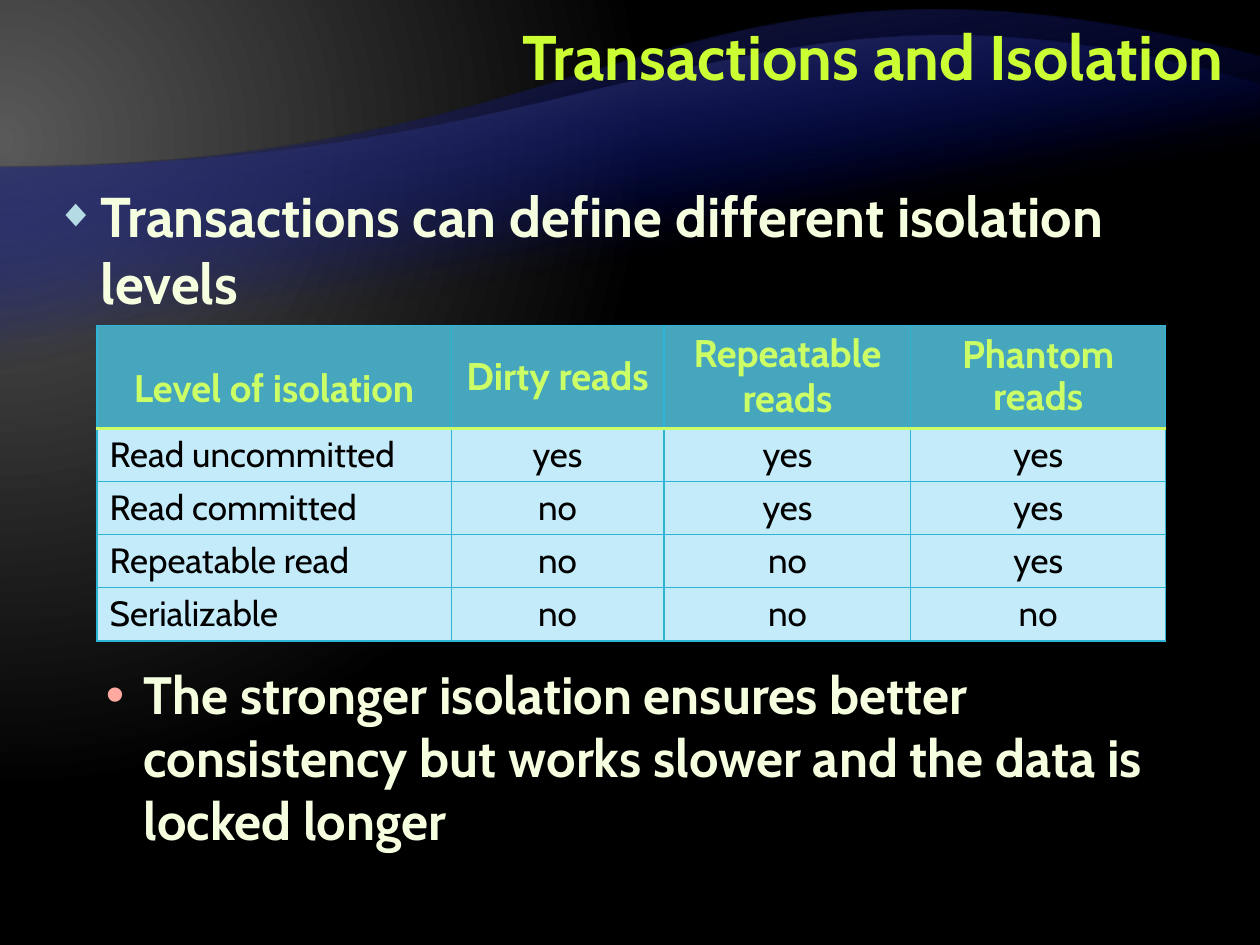
"""Build the slide on transactions and isolation levels."""
from pptx import Presentation
from pptx import util as u
from pptx.dml.color import RGBColor
from pptx.enum import text
from pptx.oxml import parse_xml
from pptx.oxml.ns import nsdecls, qn

TITLE = "Transactions and Isolation"
POINT = "Transactions can define different isolation levels"
SUBPOINT = ("The stronger isolation ensures better consistency but works slower "
            "and the data is locked longer")
HEADERS = [("Level of isolation", 1.5), ("Dirty reads", 0.95),
           ("Repeatable reads", 0.95), ("Phantom reads", 0.9)]
ROWS = [
    ("Read uncommitted", "yes", "yes", "yes"),
    ("Read committed", "no", "yes", "yes"),
    ("Repeatable read", "no", "no", "yes"),
    ("Serializable", "no", "no", "no"),
]
COLUMN_WIDTHS = [2.81, 1.69, 1.96, 2.02]
HEADER_HEIGHT, ROW_HEIGHT = 0.82, 0.42
WAVES = [
    {"curve": [(0, 1.33), (5, 1.33), (5.34, -0.75), (10, 0.45)], "bottom": 6.53,
     "stops": [(65, "000D9E", 0), (100, "262626", 100)]},
    {"curve": [(0, 1.33), (5, 1.33), (5.98, -0.49), (10, 0.67)], "bottom": 5.57,
     "stops": [(65, "000D9E", 0), (100, "595959", 100)]},
]
BACKDROP_STOPS = [(0, "595959", 100), (83, "000000", 100)]
BACKDROP_DIRECTION = ('<a:path path="circle"><a:fillToRect l="20000" t="30000" '
                      'r="135000" b="100000"/></a:path>')
WAVE_DIRECTION = '<a:lin ang="15600000" scaled="0"/>'
THEME = {
    "font": "Cabin",
    "title": "CCFF33", "body": "F5FFE0", "header": "CCFF66", "cell": "000000",
    "header_fill": "46A6BD", "cell_fill": "C4EBFA", "grid": "2EB5D5",
    "diamond": "B5DBE5", "dot": "FFA9A0",
    "title_size": 36, "point_size": 32, "subpoint_size": 30,
    "header_size": 22, "cell_size": 20,
}
CENTER = text.PP_ALIGN.CENTER


def set_gradient(owner, fill, stops, direction):
    fill.gradient()
    old = next(owner.iter(qn("a:gradFill")))
    marks = "".join(
        f'<a:gs pos="{position * 1000}"><a:srgbClr val="{color}">'
        f'<a:alpha val="{alpha * 1000}"/></a:srgbClr></a:gs>'
        for position, color, alpha in stops)
    new = parse_xml(f'<a:gradFill {nsdecls("a")} rotWithShape="1">'
                    f'<a:gsLst>{marks}</a:gsLst>{direction}</a:gradFill>')
    old.getparent().replace(old, new)


def curve_points(curve, steps=60):
    for step in range(steps + 1):
        t = step / steps
        weights = ((1 - t) ** 3, 3 * t * (1 - t) ** 2, 3 * t * t * (1 - t), t ** 3)
        yield tuple(u.Inches(sum(w * point[axis] for w, point in zip(weights, curve)))
                    for axis in (0, 1))


def add_wave(slide, wave, position):
    bottom = u.Inches(wave["bottom"])
    builder = slide.shapes.build_freeform(u.Inches(10), bottom)
    builder.add_line_segments([(0, bottom), *curve_points(wave["curve"])], close=True)
    shape = builder.convert_to_shape()
    shape.shadow.inherit = False
    shape.line.fill.background()
    set_gradient(shape._element, shape.fill, wave["stops"], WAVE_DIRECTION)
    slide.shapes._spTree.insert(2 + position, shape._element)


def write(paragraph, content, *, size, color, bold=True, align=text.PP_ALIGN.LEFT,
          spacing=1.0, before=0):
    paragraph.alignment = align
    paragraph.line_spacing = spacing
    paragraph.space_before = u.Pt(before)
    run = paragraph.add_run()
    run.text = content
    run.font.name = THEME["font"]
    run.font.size = u.Pt(size)
    run.font.bold = bold
    run.font.color.rgb = RGBColor.from_string(color)


def set_bullet(paragraph, character, color, percent, margin, hanging):
    properties = paragraph._p.get_or_add_pPr()
    properties.set("marL", str(u.Inches(margin)))
    properties.set("indent", str(-u.Inches(hanging)))
    for tag in (f'<a:buClr {nsdecls("a")}><a:srgbClr val="{color}"/></a:buClr>',
                f'<a:buSzPct {nsdecls("a")} val="{percent * 1000}"/>',
                f'<a:buChar {nsdecls("a")} char="{character}"/>'):
        properties.append(parse_xml(tag))


def place(shape, left, top, width, height):
    shape.left, shape.top, shape.width, shape.height = map(
        u.Inches, (left, top, width, height))
    frame = shape.text_frame
    frame.word_wrap = True
    frame.auto_size = text.MSO_AUTO_SIZE.NONE
    frame.vertical_anchor = text.MSO_ANCHOR.TOP
    return frame


def set_borders(cell, bottom):
    grid = (THEME["grid"], 0.75)
    sides = {"lnL": grid, "lnR": grid, "lnT": grid, "lnB": bottom or grid}
    properties = cell._tc.get_or_add_tcPr()
    for index, (side, (color, width)) in enumerate(sides.items()):
        properties.insert(index, parse_xml(
            f'<a:{side} {nsdecls("a")} w="{u.Pt(width)}"><a:solidFill>'
            f'<a:srgbClr val="{color}"/></a:solidFill></a:{side}>'))


def format_cell(cell, content, fill, bottom=None, **style):
    cell.fill.solid()
    cell.fill.fore_color.rgb = RGBColor.from_string(fill)
    cell.vertical_anchor = text.MSO_ANCHOR.MIDDLE
    set_borders(cell, bottom)
    write(cell.text_frame.paragraphs[0], content, **style)


def add_isolation_table(slide):
    height = HEADER_HEIGHT + ROW_HEIGHT * len(ROWS)
    table = slide.shapes.add_table(
        len(ROWS) + 1, len(HEADERS), u.Inches(0.77), u.Inches(2.58),
        u.Inches(sum(COLUMN_WIDTHS)), u.Inches(height)).table
    table.horz_banding = False
    for column, width in zip(table.columns, COLUMN_WIDTHS):
        column.width = u.Inches(width)
    for index, row in enumerate(table.rows):
        row.height = u.Inches(ROW_HEIGHT if index else HEADER_HEIGHT)
    rule = (THEME["header"], 2)
    for column, (label, spacing) in enumerate(HEADERS):
        format_cell(table.cell(0, column), label, THEME["header_fill"], rule,
                    size=THEME["header_size"], color=THEME["header"],
                    align=CENTER, spacing=spacing)
    for index, values in enumerate(ROWS, 1):
        for column, value in enumerate(values):
            format_cell(table.cell(index, column), value, THEME["cell_fill"],
                        rule if index == 0 else None,
                        size=THEME["cell_size"], color=THEME["cell"], bold=False,
                        align=CENTER if column else text.PP_ALIGN.LEFT, spacing=0.95)
    for column in range(len(HEADERS)):
        top = table.cell(1, column)._tc.tcPr.find(qn("a:lnT"))
        top.set("w", str(u.Pt(rule[1])))
        next(top.iter(qn("a:srgbClr"))).set("val", rule[0])


def main():
    presentation = Presentation()
    presentation.slide_width, presentation.slide_height = u.Inches(10), u.Inches(7.5)
    slide = presentation.slides.add_slide(presentation.slide_layouts[1])
    set_gradient(slide._element, slide.background.fill, BACKDROP_STOPS, BACKDROP_DIRECTION)
    for position, wave in enumerate(WAVES):
        add_wave(slide, wave, position)
    title = place(slide.shapes.title, 2.64, 0.08, 7.17, 0.99)
    write(title.paragraphs[0], TITLE, size=THEME["title_size"], color=THEME["title"],
          align=text.PP_ALIGN.RIGHT, spacing=u.Pt(44))
    body = place(slide.placeholders[1], 0.35, 1.39, 9.29, 5.83)
    point, subpoint = body.paragraphs[0], body.add_paragraph()
    subpoint.level = 1
    set_bullet(point, "◆", THEME["diamond"], 70, 0.35, 0.35)
    set_bullet(subpoint, "•", THEME["dot"], 100, 0.69, 0.3)
    write(point, POINT, size=THEME["point_size"], color=THEME["body"])
    write(subpoint, SUBPOINT, size=THEME["subpoint_size"], color=THEME["body"], before=198)
    add_isolation_table(slide)
    presentation.save("out.pptx")


if __name__ == "__main__":
    main()
